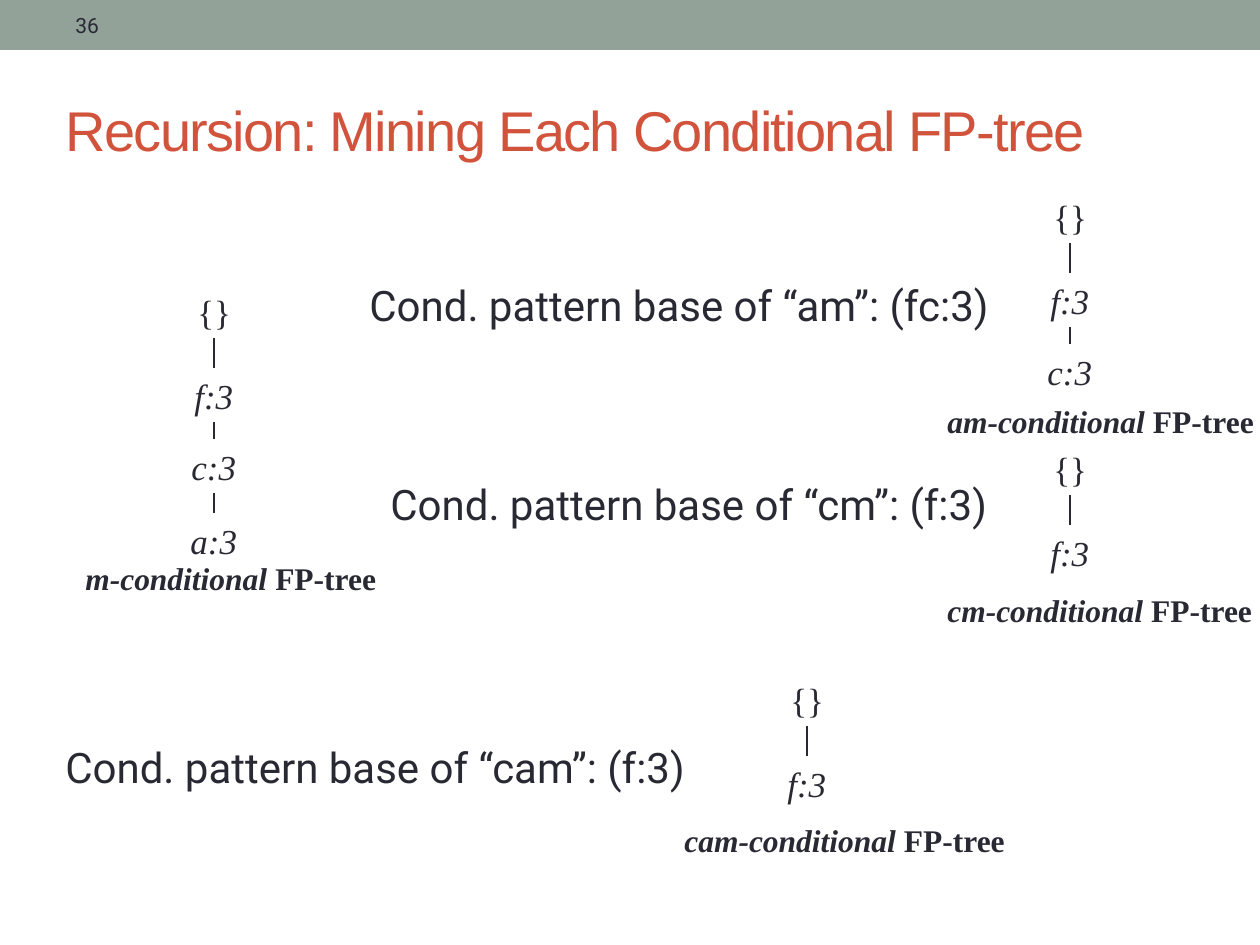
import lxml.etree
import pptx
import pptx.dml.color
import pptx.enum.shapes
import pptx.enum.text
import pptx.oxml.ns
import pptx.util

PX = 914400 // 126
THEME = {
    "band": pptx.dml.color.RGBColor.from_string("93A299"),
    "title": pptx.dml.color.RGBColor.from_string("D2533C"),
    "text": pptx.dml.color.RGBColor.from_string("292934"),
    "title_font": "Arial", "body_font": "Roboto", "tree_font": "Times New Roman",
    "title_size": 32, "label_size": 24, "node_size": 20,
    "caption_size": 18, "number_size": 12,
}


def add_run(paragraph, text, font, size, color="text", bold=False, italic=False):
    run = paragraph.add_run()
    run.text = text
    run.font.name = THEME[font]
    run.font.size = pptx.util.Pt(THEME[size])
    run.font.color.rgb = THEME[color]
    run.font.bold = bold
    run.font.italic = italic
    return run


def add_text_box(shapes, left, top, width, height):
    box = shapes.add_textbox(left * PX, top * PX, width * PX, height * PX)
    box.text_frame.word_wrap = False
    box.text_frame.auto_size = pptx.enum.text.MSO_AUTO_SIZE.SHAPE_TO_FIT_TEXT
    return box


presentation = pptx.Presentation()
presentation.slide_width = 1260 * PX
presentation.slide_height = 945 * PX
slide = presentation.slides.add_slide(presentation.slide_layouts[5])

# Top band with the slide number
band = slide.shapes.add_shape(
    pptx.enum.shapes.MSO_SHAPE.RECTANGLE, 0, 0, 1260 * PX, 50 * PX)
band.shadow.inherit = False
band.fill.solid()
band.fill.fore_color.rgb = THEME["band"]
band.line.fill.background()

number = add_text_box(slide.shapes, 63, 3, 400, 45)
number.text_frame.auto_size = pptx.enum.text.MSO_AUTO_SIZE.NONE
number.text_frame.vertical_anchor = pptx.enum.text.MSO_ANCHOR.MIDDLE
add_run(number.text_frame.paragraphs[0], "36", "body_font", "number_size")

# Title
title = slide.shapes.title
title.left, title.top, title.width, title.height = 53 * PX, 53 * PX, 1177 * PX, 152 * PX
title.text_frame.auto_size = pptx.enum.text.MSO_AUTO_SIZE.NONE
title.text_frame.vertical_anchor = pptx.enum.text.MSO_ANCHOR.MIDDLE
paragraph = title.text_frame.paragraphs[0]
paragraph.alignment = pptx.enum.text.PP_ALIGN.LEFT
run = add_run(paragraph, "Recursion: Mining Each Conditional FP-tree",
              "title_font", "title_size", "title")
run.font._element.set("spc", "-100")

# Conditional pattern bases
labels = [
    ("Cond. pattern base of “am”: (fc:3)", 357, 273, 663),
    ("Cond. pattern base of “cm”: (f:3)", 378, 472, 641),
    ("Cond. pattern base of “cam”: (f:3)", 53, 735, 663),
]
for text, left, top, width in labels:
    label = add_text_box(slide.shapes, left, top, width, 63)
    add_run(label.text_frame.paragraphs[0], text, "body_font", "label_size")

# Conditional FP-trees: nodes hang at fixed steps below the root
NODES = [("{}", 0, 59), ("f:3", 84, 64), ("c:3", 155, 71), ("a:3", 229, 72)]
NODE_HEIGHT = 54
trees = [
    # name, centre, top, node count, caption left, caption top, caption width
    ("m", 214, 284, 4, 73, 553, 316),
    ("am", 1070, 189, 3, 935, 396, 333),
    ("cm", 1070, 441, 2, 935, 585, 330),
    ("cam", 807, 672, 2, 672, 815, 347),
]
for name, center, top, count, caption_left, caption_top, caption_width in trees:
    group = slide.shapes.add_group_shape()
    previous_bottom = None
    for text, step, width in NODES[:count]:
        node_top = top + step
        node = add_text_box(group.shapes, center - width // 2, node_top, width, NODE_HEIGHT)
        add_run(node.text_frame.paragraphs[0], text, "tree_font", "node_size",
                italic=text != "{}")
        if previous_bottom is not None:
            branch = group.shapes.add_connector(
                pptx.enum.shapes.MSO_CONNECTOR.STRAIGHT,
                center * PX, previous_bottom * PX, center * PX, node_top * PX)
            branch.line.color.rgb = THEME["text"]
            branch.line.width = pptx.util.Pt(1)
            lxml.etree.SubElement(
                branch._element.spPr, pptx.oxml.ns.qn("a:effectLst"))
        previous_bottom = node_top + NODE_HEIGHT

    caption = add_text_box(group.shapes, caption_left, caption_top, caption_width, 50)
    paragraph = caption.text_frame.paragraphs[0]
    add_run(paragraph, f"{name}-conditional ", "tree_font", "caption_size",
            bold=True, italic=True)
    add_run(paragraph, "FP-tree", "tree_font", "caption_size", bold=True)

presentation.save("out.pptx")
